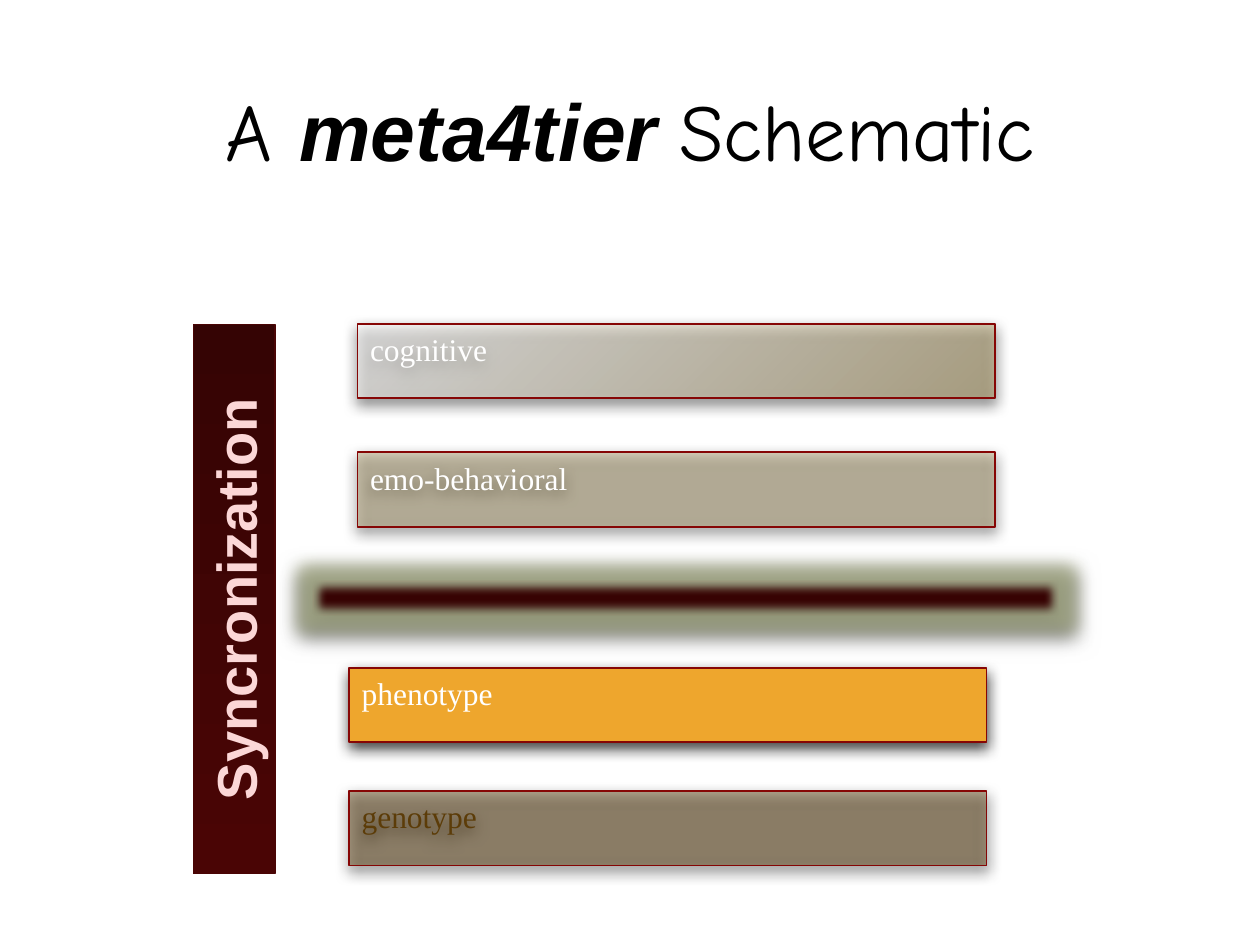
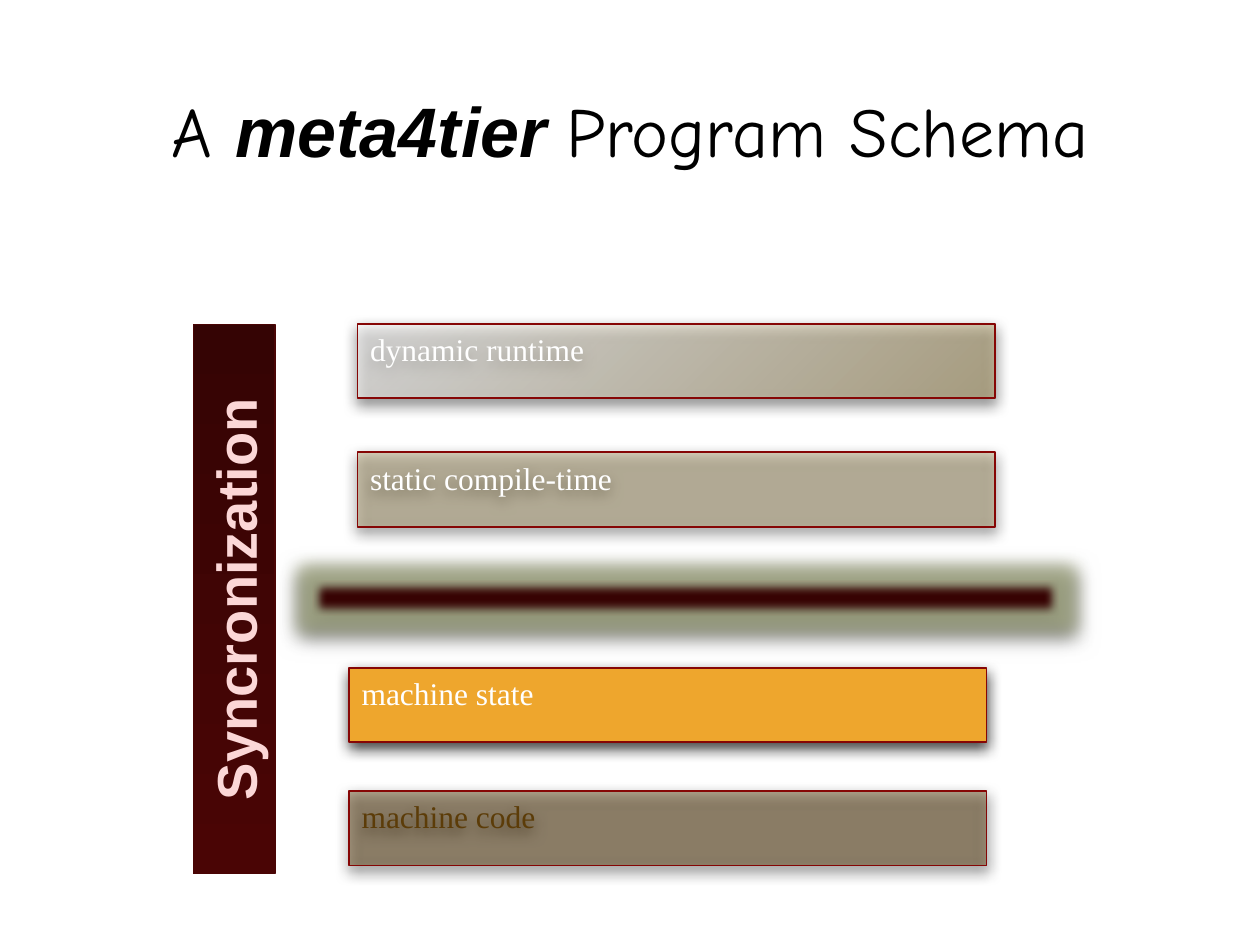
from lxml import etree
from pptx import Presentation
from pptx.dml.color import RGBColor
from pptx.enum.shapes import MSO_SHAPE
from pptx.enum.text import MSO_ANCHOR, PP_ALIGN
from pptx.oxml.ns import qn
from pptx.util import Cm, Pt

PROCESS = MSO_SHAPE.FLOWCHART_PROCESS
RECTANGLE = MSO_SHAPE.RECTANGLE
TOP, MIDDLE = MSO_ANCHOR.TOP, MSO_ANCHOR.MIDDLE
LEFT, CENTER = PP_ALIGN.LEFT, PP_ALIGN.CENTER

SLIDES = [
    {"title": "Schematic", "title_size": 46,
     "tiers": ["cognitive", "emo-behavioral", "phenotype", "genotype"]},
    {"title": "Program Schema", "title_size": 40,
     "tiers": ["dynamic runtime", "static compile-time", "machine state", "machine code"]},
]
SIDE_LABEL = "Syncronization"

TITLE_FONT, STRONG_FONT, TIER_FONT = "Comic Neue", "Arial", "Times New Roman"
BLACK, WHITE, BORDER = "000000", "FFFFFF", "860605"
DIVIDER, GLOW = "380404", "A5AB81"
SIDE_DARK, SIDE_LIGHT, SIDE_TEXT = "350404", "4A0505", "FCD7D7"

TITLE_BOX = (2.54, 1.4, 20.32, 2.41)
DIVIDER_BOX = (6.32, 11.73, 15.01, 0.66)
SIDE_BOX = (-0.81, 11.25, 11.07, 1.65)
TIER_WIDTH, TIER_HEIGHT = 12.85, 1.5
TIER_STYLES = [
    {"left": 7.21, "top": 6.53, "colors": ["B29F6B", WHITE], "opacity": 54, "text": WHITE},
    {"left": 7.21, "top": 9.12, "colors": ["B29F6B"], "opacity": 41, "text": WHITE},
    {"left": 7.04, "top": 13.46, "colors": ["EEA62D"], "opacity": 100, "text": WHITE},
    {"left": 7.04, "top": 15.95, "colors": ["5C3C08"], "opacity": 43, "text": "5C3C08"},
]


def rgb(color):
    return RGBColor.from_string(color)


def add_node(parent, tag, **attributes):
    values = {name: str(value) for name, value in attributes.items()}
    return etree.SubElement(parent, qn(tag), values)


def add_color(parent, color, opacity):
    node = add_node(parent, "a:srgbClr", val=color)
    add_node(node, "a:alpha", val=opacity * 1000)


def add_run(paragraph, text, font, size, color, bold=False, italic=False):
    run = paragraph.add_run()
    run.text = text
    run.font.name = font
    run.font.size = Pt(size)
    run.font.bold = bold
    run.font.italic = italic
    run.font.color.rgb = rgb(color)


def set_fill(shape, colors, opacity=100):
    fill = shape.fill
    if len(colors) == 1:
        fill.solid()
        fill.fore_color.rgb = rgb(colors[0])
    else:
        fill.gradient()
        for stop, color in zip(fill.gradient_stops, colors):
            stop.color.rgb = rgb(color)
    if opacity < 100:
        properties = shape._element.spPr
        for tag in ("a:solidFill", "a:gradFill"):
            for node in properties.findall(qn(tag)):
                for color in node.iter(qn("a:srgbClr")):
                    add_node(color, "a:alpha", val=opacity * 1000)


def spread_from_corner(shape):
    gradient = shape._element.spPr.find(qn("a:gradFill"))
    gradient.remove(gradient.find(qn("a:lin")))
    circle = add_node(gradient, "a:path", path="circle")
    add_node(circle, "a:fillToRect", l=100000, t=100000)


def add_block(slide, preset, box, colors, border, opacity=100):
    shape = slide.shapes.add_shape(preset, *map(Cm, box))
    shape.shadow.inherit = False
    set_fill(shape, colors, opacity)
    shape.line.color.rgb = rgb(border)
    shape.line.width = Pt(1)
    return shape


def add_effects(shape, halo=False):
    effects = shape._element.spPr.find(qn("a:effectLst"))
    if halo:
        add_color(add_node(effects, "a:glow", rad=Pt(18)), GLOW, 70)
    shadow = add_node(effects, "a:outerShdw", blurRad=Pt(8), dist=Pt(3),
                      dir=90 * 60000, rotWithShape=0)
    add_color(shadow, BLACK, 75)
    if halo:
        add_node(effects, "a:softEdge", rad=Pt(5))


def prepare_text(shape, anchor, alignment, wrap=True):
    frame = shape.text_frame
    frame.word_wrap = wrap
    frame.vertical_anchor = anchor
    paragraph = frame.paragraphs[0]
    paragraph.alignment = alignment
    return paragraph


def add_title(slide, ending, size):
    box = slide.shapes.add_textbox(*map(Cm, TITLE_BOX))
    paragraph = prepare_text(box, MIDDLE, CENTER)
    add_run(paragraph, "A ", TITLE_FONT, size, BLACK)
    add_run(paragraph, "meta4tier ", STRONG_FONT, size, BLACK, bold=True, italic=True)
    add_run(paragraph, ending, TITLE_FONT, size, BLACK)


def add_tier(slide, label, style):
    box = (style["left"], style["top"], TIER_WIDTH, TIER_HEIGHT)
    tier = add_block(slide, PROCESS, box, style["colors"], BORDER, style["opacity"])
    if len(style["colors"]) > 1:
        spread_from_corner(tier)
    add_effects(tier)
    add_run(prepare_text(tier, TOP, LEFT), label, TIER_FONT, 18, style["text"])


def add_side_bar(slide):
    bar = add_block(slide, RECTANGLE, SIDE_BOX, [SIDE_DARK, SIDE_LIGHT], SIDE_LIGHT)
    bar.fill.gradient_angle = 180
    bar.rotation = 270
    paragraph = prepare_text(bar, MIDDLE, CENTER, wrap=False)
    add_run(paragraph, SIDE_LABEL, STRONG_FONT, 32, SIDE_TEXT, bold=True)


def main():
    presentation = Presentation()
    presentation.slide_width = Cm(25.4)
    presentation.slide_height = Cm(19.05)
    blank = presentation.slide_layouts[6]
    for content in SLIDES:
        slide = presentation.slides.add_slide(blank)
        add_title(slide, content["title"], content["title_size"])
        for label, style in zip(content["tiers"], TIER_STYLES):
            add_tier(slide, label, style)
        divider = add_block(slide, PROCESS, DIVIDER_BOX, [DIVIDER], BORDER)
        add_effects(divider, halo=True)
        add_side_bar(slide)
    presentation.save("out.pptx")


if __name__ == "__main__":
    main()
